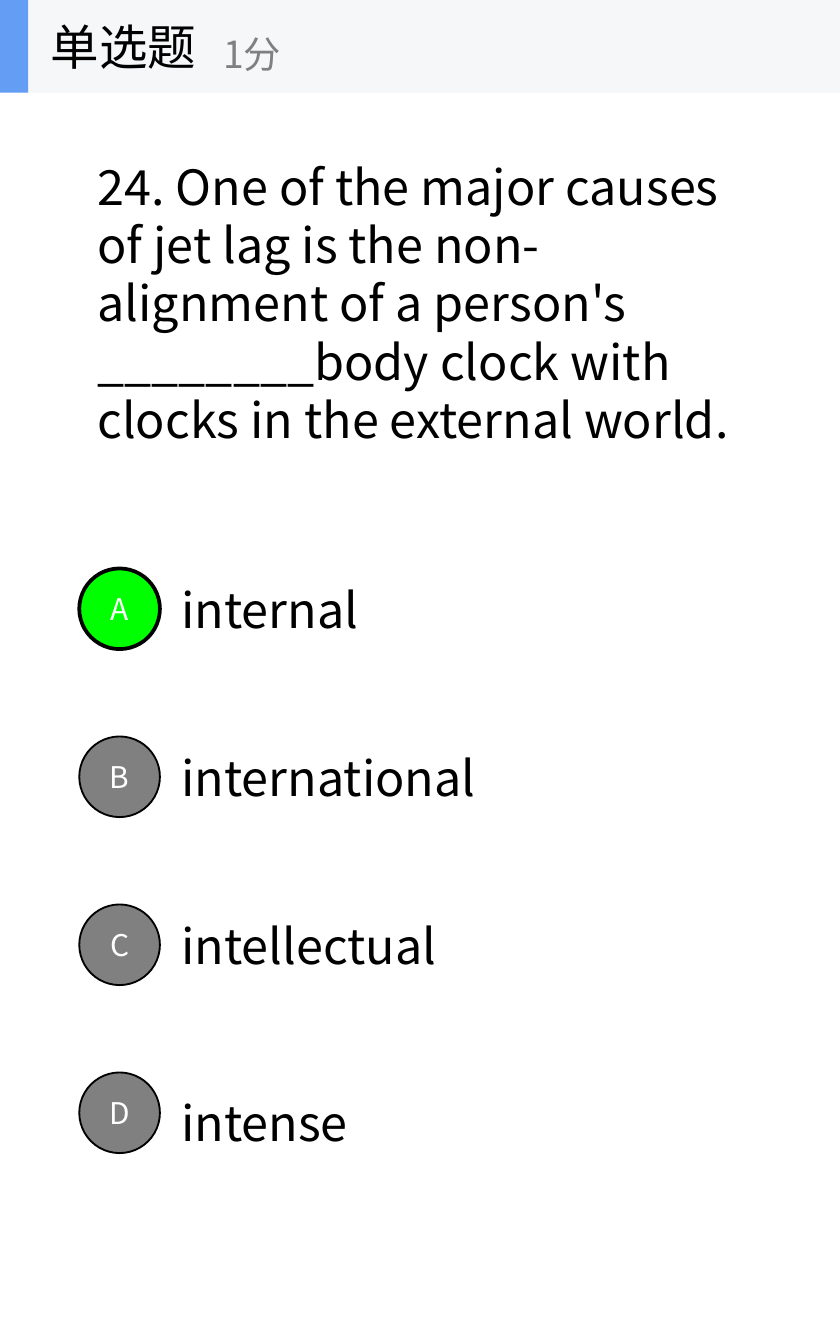
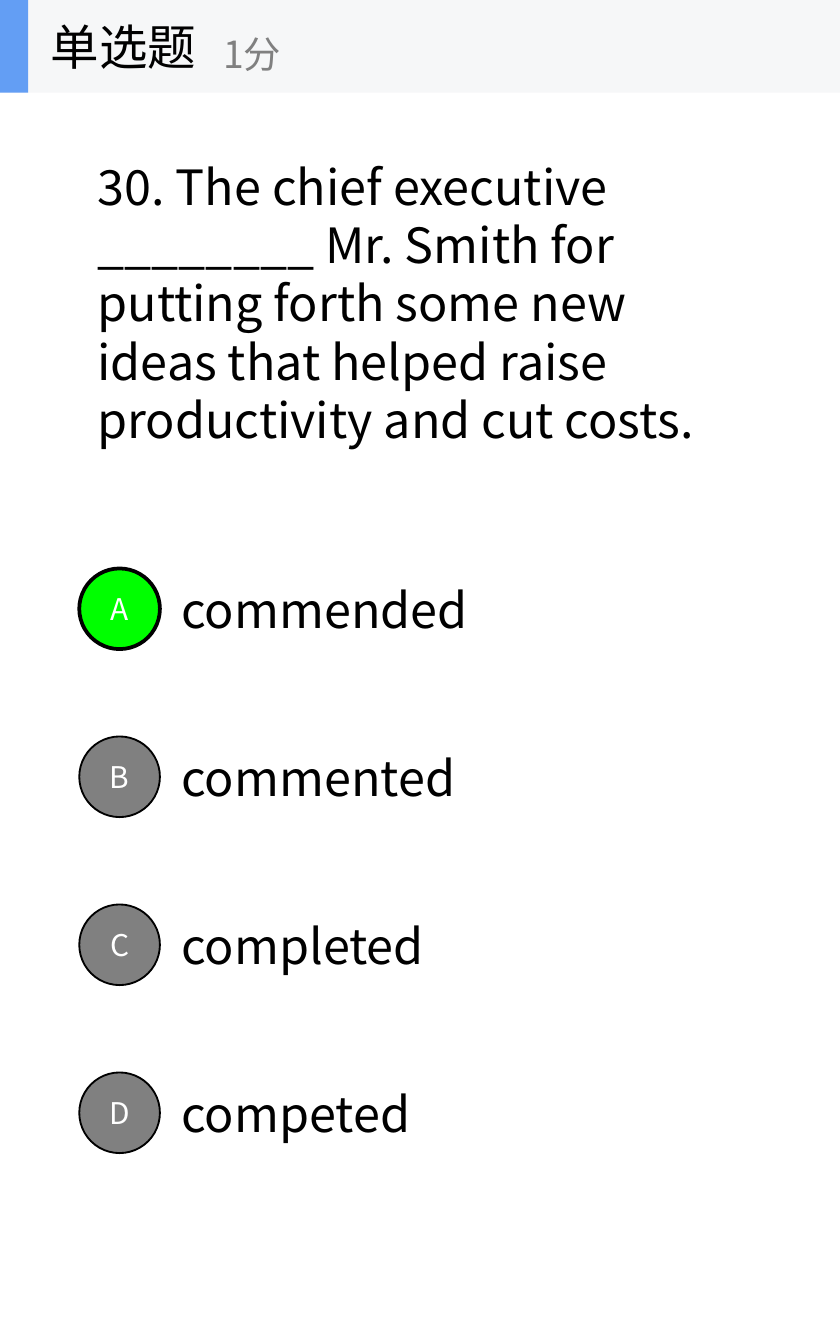
from pptx import Presentation
from pptx.dml.color import RGBColor
from pptx.enum.shapes import MSO_SHAPE
from pptx.enum.text import MSO_ANCHOR, MSO_AUTO_SIZE, PP_ALIGN
from pptx.oxml.ns import qn
from pptx.util import Inches, Pt

# Content
HEADING, POINTS = "单选题", "1分"
QUESTIONS = [
    {"stem": "24. One of the major causes of jet lag is the non-alignment of a "
             "person's ________body clock with clocks in the external world.",
     "options": ["internal", "international", "intellectual", "intense"],
     "answer": "A", "nudges": {"D": 0.07}},
    {"stem": "30. The chief executive ________ Mr. Smith for putting forth some "
             "new ideas that helped raise productivity and cut costs.",
     "options": ["commended", "commented", "completed", "competed"],
     "answer": "A", "nudges": {}},
]

# Shared style and grid (inches)
FONT = "Noto Sans CJK SC"
BLACK, WHITE, GRAY = "000000", "FFFFFF", "808080"
GREEN, BAND, ACCENT = "00FF00", "F6F7F8", "639EF4"
WIDTH, HEIGHT = 6.25, 10
MARGIN = WIDTH / 10
BAND_H = 0.69
OPTION_TOP, OPTION_STEP, OPTION_H = 4.06, 1.25, 0.94
BADGE_LEFT, BADGE = 0.59, 0.6


def rgb(color):
    return RGBColor.from_string(color)


def box(*lengths):
    return [Inches(v) for v in lengths]


def write(sp, text, size, color=BLACK, align=PP_ALIGN.LEFT, wrap=True):
    tf = sp.text_frame
    tf.text = text
    tf.auto_size = MSO_AUTO_SIZE.NONE
    tf.word_wrap = wrap
    tf.vertical_anchor = MSO_ANCHOR.MIDDLE
    p = tf.paragraphs[0]
    p.alignment = align
    r = p.runs[0]
    r.font.name, r.font.size = FONT, Pt(size)
    r.font.color.rgb = rgb(color)
    # East Asian glyphs use the same typeface
    ea = r.font._element.makeelement(qn("a:ea"), {"typeface": FONT})
    r.font._element.append(ea)


def add_filled(shapes, kind, at, fill, line_width=0):
    sp = shapes.add_shape(kind, *box(*at))
    sp.shadow.inherit = False
    sp.fill.solid()
    sp.fill.fore_color.rgb = rgb(fill)
    if line_width:
        sp.line.color.rgb = rgb(BLACK)
        sp.line.width = Pt(line_width)
    else:
        sp.line.fill.background()
    return sp


def add_header(s):
    shapes = s.shapes.add_group_shape().shapes
    for width, fill in ((WIDTH, BAND), (0.21, ACCENT)):
        add_filled(shapes, MSO_SHAPE.RECTANGLE, (0, 0, width, BAND_H), fill)
    labels = [(HEADING, (0.28, 0, WIDTH / 3, BAND_H), 26, BLACK),
              (POINTS, (WIDTH / 4, 0.12, 2.5, 0.56), 20, GRAY)]
    for text, at, size, color in labels:
        write(shapes.add_textbox(*box(*at)), text, size, color, wrap=False)


def add_options(s, question):
    rows = list(zip("ABCD", question["options"]))
    left = 2 * MARGIN
    for i, (letter, text) in enumerate(rows):
        top = OPTION_TOP + i * OPTION_STEP + question["nudges"].get(letter, 0)
        at = box(left, top, WIDTH - MARGIN - left, OPTION_H)
        write(s.shapes.add_textbox(*at), text, 26)
    for i, (letter, _) in enumerate(rows):
        top = OPTION_TOP + i * OPTION_STEP + (OPTION_H - BADGE) / 2
        fill, line = (GREEN, 2) if letter == question["answer"] else (GRAY, 1)
        badge = add_filled(s.shapes, MSO_SHAPE.OVAL,
                           (BADGE_LEFT, top, BADGE, BADGE), fill, line)
        write(badge, letter, 16, WHITE, PP_ALIGN.CENTER)


def add_question(prs, question):
    s = prs.slides.add_slide(prs.slide_layouts[5])
    s.background.fill.solid()
    s.background.fill.fore_color.rgb = rgb(WHITE)
    title = s.shapes.title
    title.left, title.top, title.width, title.height = box(
        MARGIN, BAND_H, WIDTH - 2 * MARGIN, 3.12)
    write(title, question["stem"], 26)
    add_options(s, question)
    add_header(s)


def main():
    prs = Presentation()
    prs.slide_width, prs.slide_height = box(WIDTH, HEIGHT)
    for question in QUESTIONS:
        add_question(prs, question)
    prs.save("out.pptx")


if __name__ == "__main__":
    main()
